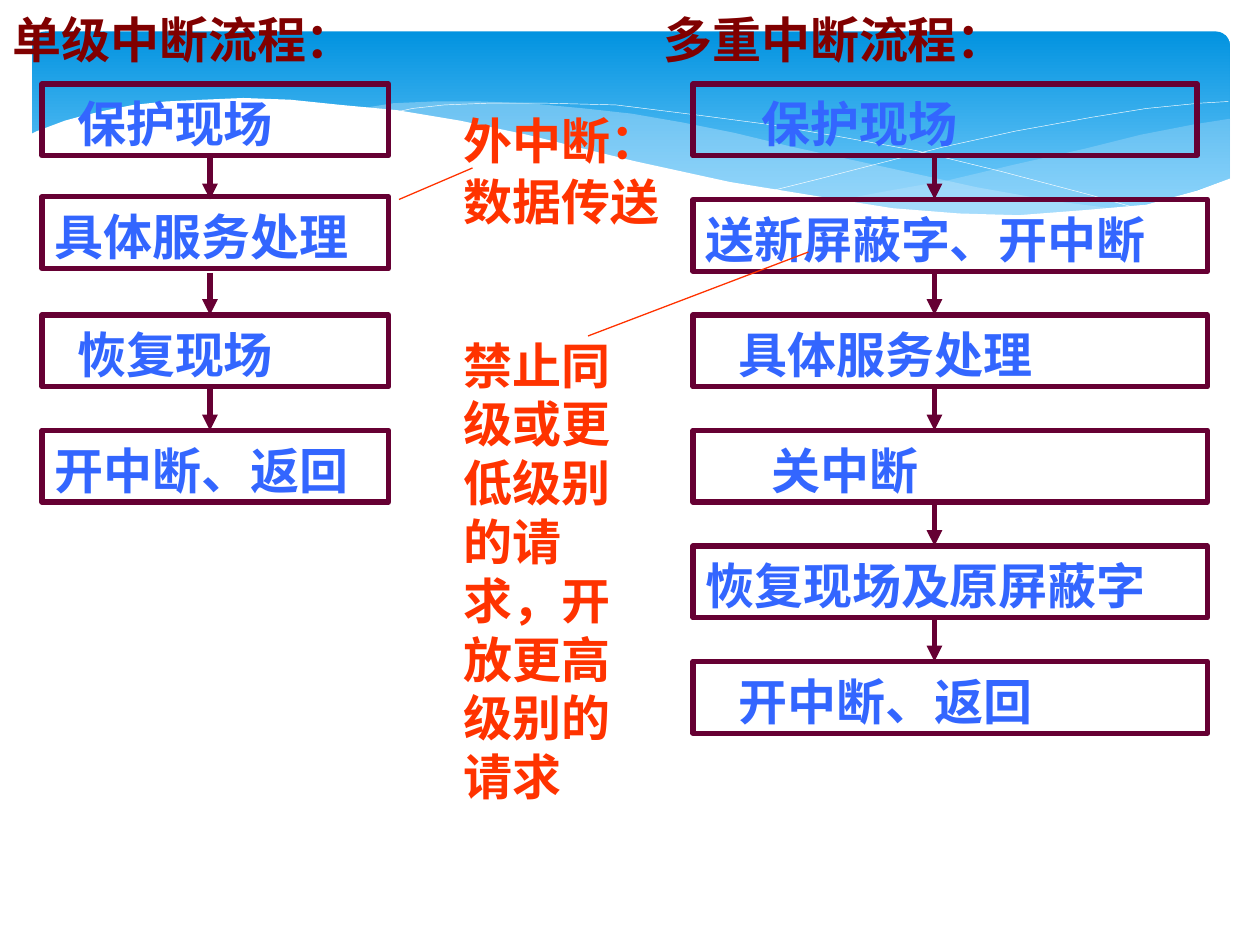
from lxml.etree import SubElement
from pptx import Presentation
from pptx.dml.color import RGBColor
from pptx.enum.shapes import MSO_CONNECTOR as CONNECTOR, MSO_SHAPE as SHAPE
from pptx.enum.text import MSO_ANCHOR as ANCHOR, PP_ALIGN as ALIGN
from pptx.oxml.ns import qn
from pptx.util import Pt

COLORS = {
    "sky_top": "0293E0", "sky_bottom": "83D3FE", "mist": "C6E7FC", "white": "FFFFFF",
    "title": "800000", "frame": "660033", "step": "3366FF", "note": "FF3300",
}
FONT = "Noto Sans CJK SC"

deck = Presentation()
deck.slide_width, deck.slide_height = Pt(720), Pt(540)
slide = deck.slides.add_slide(deck.slide_layouts[6])
shapes = slide.shapes


def rgb(name):
    return RGBColor.from_string(COLORS[name])


def write(holder, text, color, indent=0, top=5.5, line=33.6, before=0):
    frame = holder.text_frame
    frame.word_wrap = True
    frame.vertical_anchor = ANCHOR.TOP
    frame.margin_left = frame.margin_right = Pt(7.2)
    frame.margin_top, frame.margin_bottom = Pt(top), Pt(0)
    frame.text = text
    for paragraph in frame.paragraphs:
        paragraph.alignment = ALIGN.LEFT
        paragraph.line_spacing = Pt(line)
        paragraph.space_before = Pt(before)
        properties = paragraph._p.get_or_add_pPr()
        properties.set("marL", str(Pt(indent)))
        properties.set("hangingPunct", "0")
        for run in paragraph.runs:
            run.font.size, run.font.bold, run.font.name = Pt(28), True, FONT
            run.font.color.rgb = rgb(color)
            SubElement(run._r.get_or_add_rPr(), qn("a:ea")).set("typeface", FONT)


# Blue header band
sky = shapes.add_shape(SHAPE.ROUNDED_RECTANGLE, Pt(18), Pt(18), Pt(684.7), Pt(112.3))
sky.adjustments[0] = 0.07
sky.shadow.inherit = False
sky.line.fill.background()
sky.fill.gradient()
sky.fill.gradient_angle = 270
for stop, (position, color) in zip(sky.fill.gradient_stops, [(0, "sky_top"), (1, "sky_bottom")]):
    stop.position, stop.color.rgb = position, rgb(color)

# Waves: points, fill, opacity in percent (no fill means a thin white curve)
waves = [
    ([(702, 67.7), (682.6, 71.3), (652.3, 77), (619.9, 85), (579.6, 94.3), (542.2, 103),
      (508.3, 109.4), (475.9, 115.2), (517, 120.2), (553.7, 123.1), (586, 123.8),
      (614.9, 122.4), (640, 119.5), (663.1, 115.2), (683.3, 109.4), (702.7, 101.5),
      (702.7, 67.7)], "mist", 29),
    ([(643, 120.2), (602.6, 115.2), (558, 107.3), (508.3, 96.5), (452.9, 83.5), (420.5, 76.3),
      (389.5, 69.8), (360.7, 64.8), (334, 61.9), (302.4, 59), (273.6, 57.6), (247.7, 57.6),
      (225.4, 59), (206, 61.9), (232.6, 64.8), (260.6, 69.8), (290.9, 76.3), (323.3, 83.5),
      (381.6, 97.2), (432.7, 108), (468, 113.8), (500.4, 118.8), (529.9, 121.7),
      (556.6, 123.8), (581, 124.6), (603.4, 123.8), (624.2, 122.4)], "mist", 40),
    ([(222.5, 64.8), (236.2, 61.9), (254.2, 60.5), (278.6, 59), (311.8, 59), (352.1, 60.5),
      (400.3, 65.5), (437.8, 70.6), (478.8, 77.8), (523.4, 86.4), (572.4, 97.9),
      (625, 111.6), (653, 119.5)], None, 100),
    ([(441.4, 108.7), (469.4, 101.5), (500.4, 93.6), (538.6, 84.2), (580.3, 74.9),
      (623.5, 67), (655.2, 61.9), (684.7, 59), (702, 57.6)], None, 100),
    ([(703.4, 101.5), (684, 108.7), (655.2, 116.6), (621.4, 120.2), (582.5, 123.1),
      (547.9, 122.4), (509.8, 118.8), (465.8, 112.3), (416.9, 103.7), (362.2, 92.2),
      (301, 77), (262.8, 69.1), (226.8, 63.4), (195.1, 59.8), (165.6, 56.9), (139, 56.2),
      (115.9, 56.9), (95, 58.3), (76.3, 60), (61.2, 62.6), (48.2, 65.5), (37.4, 69.1),
      (28.8, 72), (20.9, 74.9), (16.6, 77), (16.6, 161.3), (703.4, 161.3)], "white", 100),
]
for points, color, opacity in waves:
    outline = shapes.build_freeform(*points[0], scale=Pt(1))
    outline.add_line_segments(points[1:], close=color is not None)
    wave = outline.convert_to_shape()
    wave.shadow.inherit = False
    if color:
        wave.fill.solid()
        wave.fill.fore_color.rgb = rgb(color)
        wave.line.fill.background()
        tint = wave.fill._xPr.find(qn("a:solidFill"))[0]
        SubElement(tint, qn("a:alpha")).set("val", str(opacity * 1000))
    else:
        wave.fill.background()
        wave.line.color.rgb = rgb("white")
        wave.line.width = Pt(0.25)

# Headings and notes: text, left, top, width, height, format
labels = [
    ("单级中断流程：", 0, 0, 348, 41, dict(color="title")),
    ("多重中断流程：", 372, 0, 348, 41, dict(color="title")),
    ("外中断：\n数据传送", 258, 72, 162, 58, dict(color="note", top=8, line=17, before=17.5)),
    ("禁止同级或更低级别的请求，开放更高级别的请求", 258, 186, 120, 243, dict(color="note")),
]
for text, left, top, width, height, style in labels:
    write(shapes.add_textbox(Pt(left), Pt(top), Pt(width), Pt(height)), text, **style)

# Step boxes: left, then text, top, width, indent
flows = [
    (24, [("保护现场", 48, 198, 13), ("具体服务处理", 112.5, 198, 0),
          ("恢复现场", 180, 198, 13), ("开中断、返回", 246, 198, 0)]),
    (396, [("保护现场", 48, 288, 32), ("送新屏蔽字、开中断", 114, 294, 0),
           ("具体服务处理", 180, 294, 19), ("关中断", 246, 294, 38),
           ("恢复现场及原屏蔽字", 312, 294, 0), ("开中断、返回", 378, 294, 19)]),
]
for left, steps in flows:
    for text, top, width, indent in steps:
        step = shapes.add_shape(SHAPE.RECTANGLE, Pt(left), Pt(top), Pt(width), Pt(41))
        step.shadow.inherit = False
        step.fill.background()
        step.line.color.rgb = rgb("frame")
        step.line.width = Pt(3)
        write(step, text, "step", indent=indent)

# Flow arrows and note leaders
links = [(x, 90 + 66 * i, x, 114 + 66 * i, "frame", 3)
         for x, count in [(120, 3), (534, 5)] for i in range(count)]
links += [(228, 114, 270, 96, "note", 0.75), (336, 192, 462, 144, "note", 0.75)]
for x1, y1, x2, y2, color, weight in links:
    link = shapes.add_connector(CONNECTOR.STRAIGHT, Pt(x1), Pt(y1), Pt(x2), Pt(y2))
    link.line.color.rgb = rgb(color)
    link.line.width = Pt(weight)
    SubElement(link._element.spPr, qn("a:effectLst"))
    if color == "frame":
        SubElement(link.line._get_or_add_ln(), qn("a:tailEnd")).set("type", "triangle")

deck.save("out.pptx")
